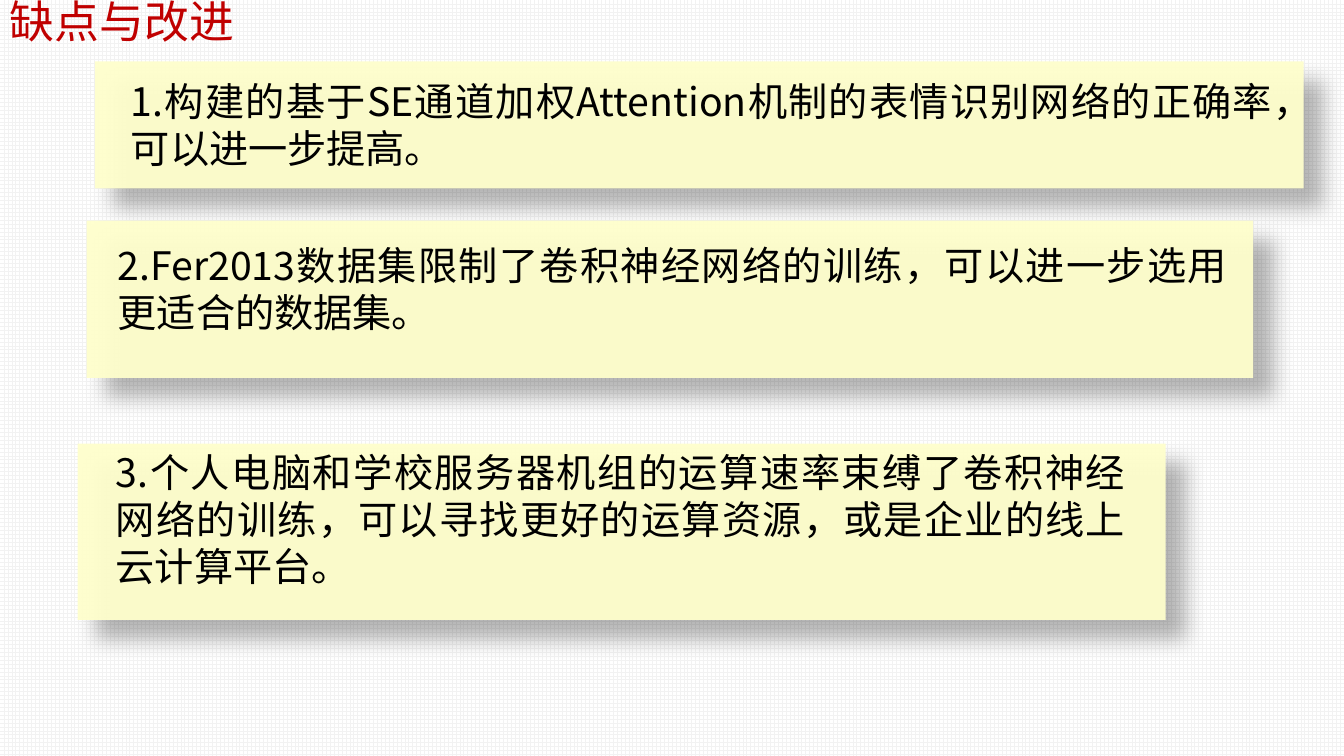
from lxml import etree
from pptx import Presentation
from pptx import util as u
from pptx.dml.color import RGBColor
from pptx.enum import dml, lang, shapes, text
from pptx.oxml.ns import qn

COLORS = {"title": "C00000", "body": "000000", "note": "FFFFCC",
          "shadow": "000000", "grid": "F2F2F2", "paper": "FFFFFF"}
FONT = "Noto Sans CJK SC"
LINE_HEIGHT = 1.2
TITLE = {"size": 32, "color": "title", "wrap": False, "align": text.PP_ALIGN.LEFT}
BODY = {"size": 28, "color": "body", "wrap": True, "align": text.PP_ALIGN.JUSTIFY}

# Each note: its box, then the text box as an offset from the note's corner and a size.
NOTES = [
    ((0.94, 0.61, 11.99, 1.26), (0.26, 0.11, 11.53, 1.04),
     "1.构建的基于SE通道加权Attention机制的表情识别网络的正确率，可以进一步提高。"),
    ((0.86, 2.19, 11.57, 1.56), (0.21, 0.16, 11.2, 1.04),
     "2.Fer2013数据集限制了卷积神经网络的训练，可以进一步选用更适合的数据集。"),
    ((0.77, 4.4, 10.79, 1.75), (0.28, 0, 10.21, 1.51),
     "3.个人电脑和学校服务器机组的运算速率束缚了卷积神经网络的训练，"
     "可以寻找更好的运算资源，或是企业的线上云计算平台。"),
]


def rgb(name):
    return RGBColor.from_string(COLORS[name])


def inches(box):
    return [u.Inches(length) for length in box]


def add_alpha(color, percent):
    etree.SubElement(color, qn("a:alpha"), val=str(percent * 1000))


def add_shadow(shape):
    shape.shadow.inherit = False
    effects = shape._element.spPr.find(qn("a:effectLst"))
    shadow = etree.SubElement(
        effects, qn("a:outerShdw"), blurRad=str(u.Pt(15)), dist=str(u.Pt(18)),
        dir=str(45 * 60000), algn="tl", rotWithShape="0")
    color = etree.SubElement(shadow, qn("a:srgbClr"), val=COLORS["shadow"])
    add_alpha(color, 30)


def add_text(page, box, words, style):
    frame = page.shapes.add_textbox(*inches(box)).text_frame
    frame.word_wrap = style["wrap"]
    frame.auto_size = text.MSO_AUTO_SIZE.SHAPE_TO_FIT_TEXT
    para = frame.paragraphs[0]
    para.alignment = style["align"]
    para.line_spacing = u.Pt(style["size"] * LINE_HEIGHT)
    span = para.add_run()
    span.text = words
    font_values = {"name": FONT, "size": u.Pt(style["size"]),
                   "language_id": lang.MSO_LANGUAGE_ID.SIMPLIFIED_CHINESE}
    for name, value in font_values.items():
        setattr(span.font, name, value)
    span.font.color.rgb = rgb(style["color"])
    etree.SubElement(span.font._element, qn("a:ea"), typeface=FONT)


def add_note(page, box, text_box, words):
    note = page.shapes.add_shape(shapes.MSO_SHAPE.RECTANGLE, *inches(box))
    note.fill.solid()
    note.fill.fore_color.rgb = rgb("note")
    add_alpha(note._element.spPr.find(".//" + qn("a:srgbClr")), 94)
    note.line.fill.background()
    add_shadow(note)
    left, top, width, height = text_box
    add_text(page, (box[0] + left, box[1] + top, width, height), words, BODY)


def add_background(page):
    fill = page.background.fill
    fill.patterned()
    fill.pattern = dml.MSO_PATTERN.LARGE_GRID
    fill.fore_color.rgb = rgb("grid")
    fill.back_color.rgb = rgb("paper")


def main():
    deck = Presentation()
    deck.slide_width, deck.slide_height = inches((13.33, 7.5))
    page = deck.slides.add_slide(deck.slide_layouts[6])
    add_background(page)
    add_text(page, (0, -0.11, 2.45, 0.64), "缺点与改进", TITLE)
    for box, text_box, words in NOTES:
        add_note(page, box, text_box, words)
    deck.save("out.pptx")


if __name__ == "__main__":
    main()
